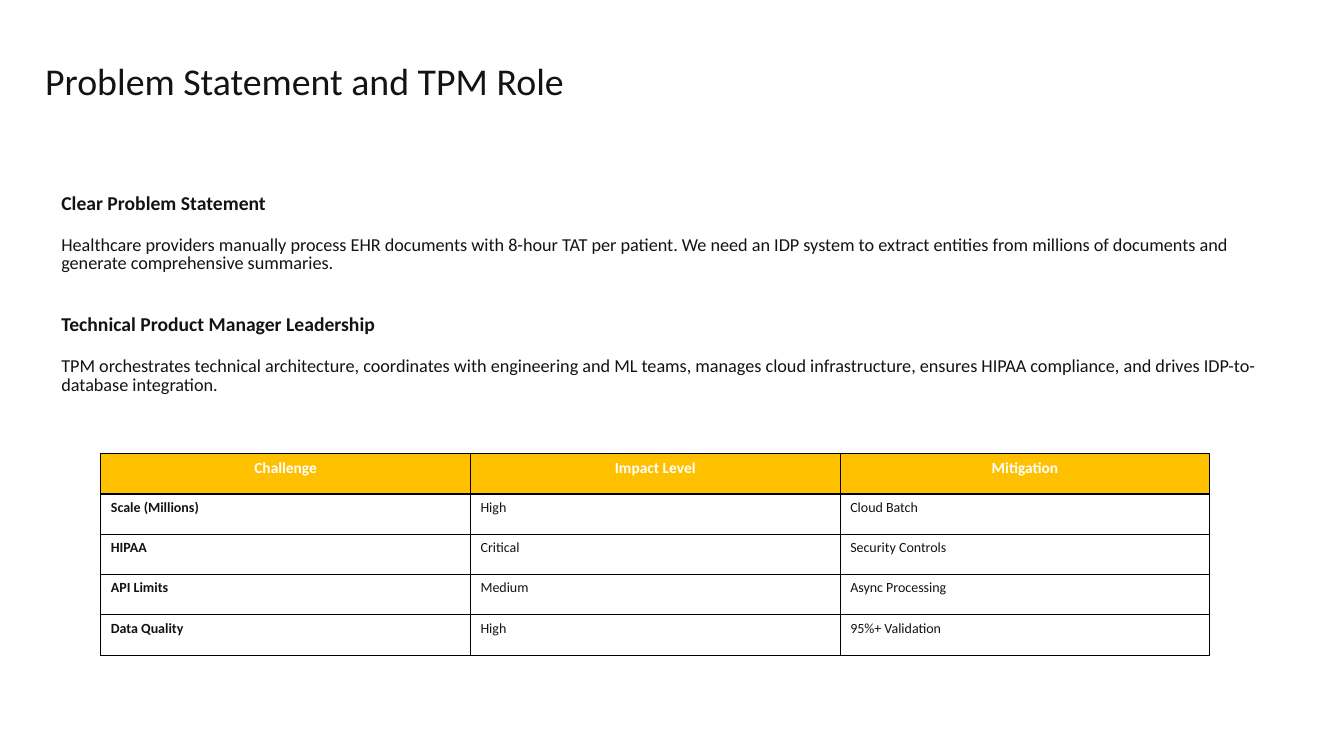
"""Build the problem statement slide with its table of challenges."""
from lxml import etree
from pptx import Presentation, util as u
from pptx.dml.color import RGBColor
from pptx.enum import text
from pptx.oxml.ns import qn

THEME = {
    "font": "Calibri", "ink": "131313", "paper": "FFFFFF",
    "accent": "FFC000", "border": "000000",
    "title": 27, "heading": 14, "body": 13, "header": 11, "cell": 10,
}
GRID = u.Inches(1)


def add_box(page, *place):
    """Add a wrapping text box placed in grid units and return its frame."""
    box = page.shapes.add_textbox(*(int(GRID * length) for length in place))
    box.text_frame.word_wrap = True
    return box.text_frame


def write(para, wording, size, bold=False, color="ink", **layout):
    """Fill a paragraph and apply its font and layout values."""
    span = para.add_run()
    span.text = wording
    font = {"name": THEME["font"], "size": u.Pt(THEME[size]), "bold": bold}
    for target, values in ((span.font, font), (para, layout)):
        for name, value in values.items():
            setattr(target, name, value)
    span.font.color.rgb = RGBColor.from_string(THEME[color])


deck = Presentation()
deck.slide_width, deck.slide_height = u.Inches(13.33), u.Inches(7.5)
page = deck.slides.add_slide(deck.slide_layouts[6])

title = add_box(page, 0.35, 0.64, 12.79, 0.67)
write(title.paragraphs[0], "Problem Statement and TPM Role", "title", line_spacing=u.Pt(24))

sections = [
    ("Clear Problem Statement",
     "Healthcare providers manually process EHR documents with 8-hour TAT per patient. "
     "We need an IDP system to extract entities from millions of documents and "
     "generate comprehensive summaries."),
    ("Technical Product Manager Leadership",
     "TPM orchestrates technical architecture, coordinates with engineering and ML teams, "
     "manages cloud infrastructure, ensures HIPAA compliance, and drives "
     "IDP-to-database integration."),
]
story = add_box(page, 0.51, 1.88, 12.35, 2.4)
for index, (heading, body) in enumerate(sections):
    para = story.add_paragraph() if index else story.paragraphs[0]
    write(para, heading, "heading", bold=True, line_spacing=u.Pt(14),
          space_before=u.Pt(25 if index else 0), space_after=u.Pt(6))
    write(story.add_paragraph(), body, "body", line_spacing=u.Pt(13),
          space_before=u.Pt(10), space_after=u.Pt(6))

challenges = [
    ("Challenge", "Impact Level", "Mitigation"),
    ("Scale (Millions)", "High", "Cloud Batch"),
    ("HIPAA", "Critical", "Security Controls"),
    ("API Limits", "Medium", "Async Processing"),
    ("Data Quality", "High", "95%+ Validation"),
]
table = page.shapes.add_table(
    len(challenges), len(challenges[0]), GRID, int(GRID * 4.5), GRID * 11, GRID * 2).table
for row, entries in enumerate(challenges):
    for column, wording in enumerate(entries):
        cell = table.cell(row, column)
        is_header = row == 0
        properties = cell._tc.get_or_add_tcPr()
        for side in "LRTB":
            heavy = (row, side) in ((0, "B"), (1, "T"))
            line = etree.SubElement(properties, qn(f"a:ln{side}"), w=str(u.Pt(1.5 if heavy else 1)))
            fill = etree.SubElement(line, qn("a:solidFill"))
            etree.SubElement(fill, qn("a:srgbClr"), val=THEME["border"])
        cell.fill.solid()
        cell.fill.fore_color.rgb = RGBColor.from_string(THEME["accent" if is_header else "paper"])
        write(cell.text_frame.paragraphs[0], wording,
              "header" if is_header else "cell",
              bold=is_header or column == 0,
              color="paper" if is_header else "ink",
              alignment=text.PP_ALIGN.CENTER if is_header else text.PP_ALIGN.LEFT)

deck.save("out.pptx")
